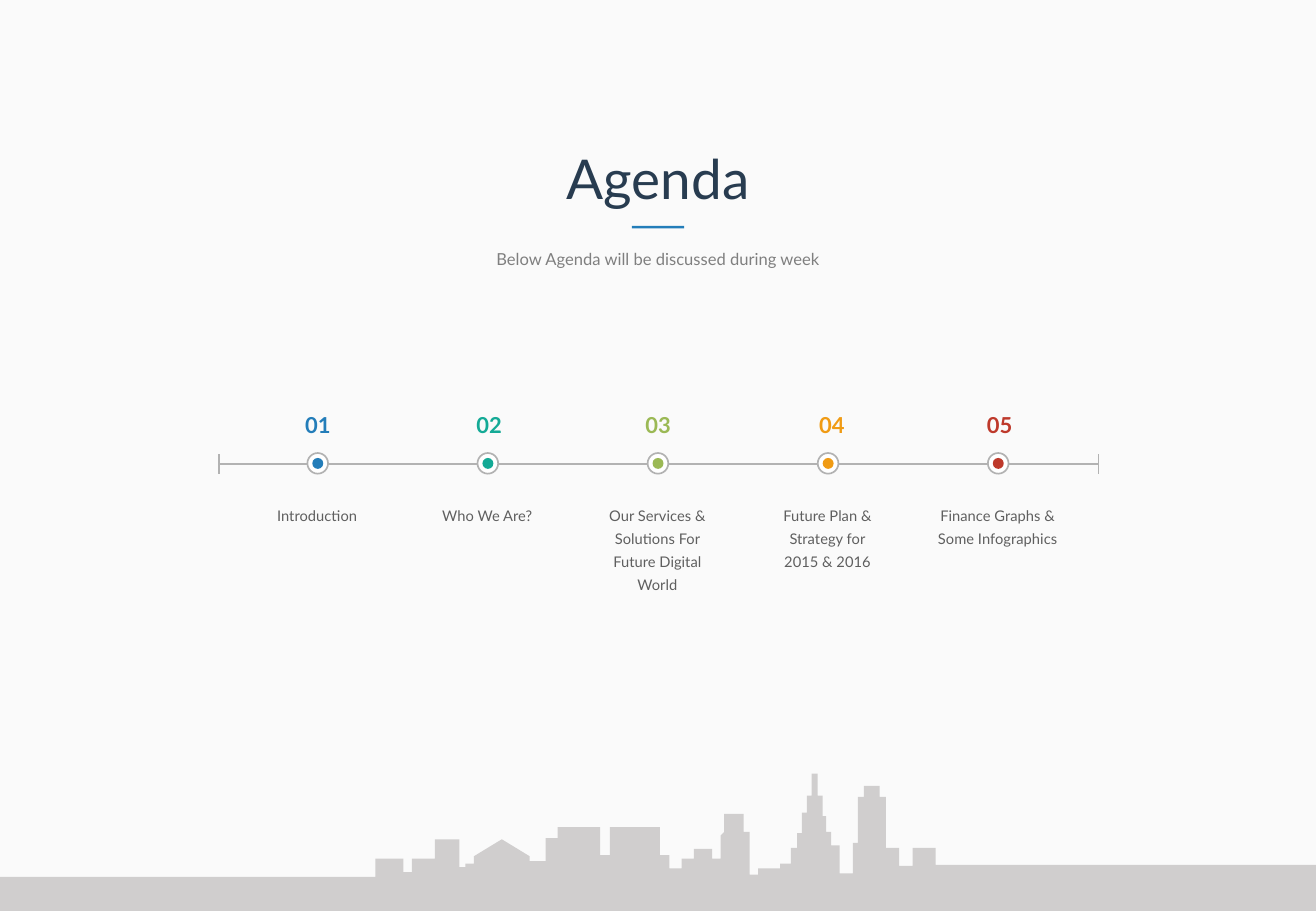
"""Build the Agenda slide: a five-stop timeline above a city skyline."""
from lxml import etree
from pptx import Presentation
from pptx.dml.color import RGBColor
from pptx.enum.shapes import MSO_CONNECTOR, MSO_SHAPE
from pptx.enum.text import MSO_ANCHOR, MSO_AUTO_SIZE, PP_ALIGN
from pptx.oxml.ns import qn
from pptx.util import Emu, Pt

RECT, OVAL = MSO_SHAPE.RECTANGLE, MSO_SHAPE.OVAL
STRAIGHT = MSO_CONNECTOR.STRAIGHT
CENTER, TOP, NO_FIT = PP_ALIGN.CENTER, MSO_ANCHOR.TOP, MSO_AUTO_SIZE.NONE

PX = 9144
WIDTH, HEIGHT = 1083, 750
FONT = "Lato"
COLORS = {
    "paper": "FAFAFA", "city": "D0CECE", "title": "283C50",
    "subtitle": "7F7F7F", "label": "5F5F5F", "axis": "B2B2B2",
    "white": "FFFFFF", "blue": "237DB9", "teal": "14AA96",
    "green": "9BB955", "orange": "F09B14", "red": "BE392B",
}

TITLE = "Agenda"
SUBTITLE = "Below Agenda will be discussed during week"
# number, number offset, colour, label paragraphs
STOPS = [
    ("01", 0, "blue", ["Introduction"]),
    ("02", 1, "teal", ["Who We Are?"]),
    ("03", 0, "green", ["Our Services & Solutions For Future Digital World"]),
    ("04", 3, "orange", ["Future Plan & Strategy for", "2015 & 2016"]),
    ("05", 1, "red", ["Finance Graphs & Some Infographics"]),
]
SKYLINE_START = (0, 722)
SKYLINE = [
    (309, 707), (332, 718), (339, 707), (358, 691), (378, 714), (383, 711),
    (390, 705), (413, 691), (436, 705), (436, 709), (449, 690), (459, 681),
    (494, 704), (502, 681), (543, 704), (551, 715), (561, 707), (571, 699),
    (586, 707), (593, 688), (596, 685), (596, 670), (612, 685), (617, 720),
    (624, 715), (642, 711), (651, 698), (656, 686), (660, 669), (664, 655),
    (668, 637), (673, 655), (677, 672), (680, 685), (684, 696), (691, 719),
    (702, 694), (706, 656), (711, 647), (724, 656), (729, 698), (740, 713),
    (751, 698), (770, 712),
]
SLOPES = {(413, 691), (436, 705), (596, 685)}

AXIS_LEFT, AXIS_RIGHT, AXIS_Y, TICK = 180, 904, 382, 8
FIRST_STOP, STOP_GAP = 253, 140
RING, DOT, RING_TOP = 17, 9, 373
NUMBER_W, LABEL_W = 25, 108


def rgb(name):
    return RGBColor.from_string(COLORS[name])


def box(*lengths):
    return [Emu(n * PX) for n in lengths]


def paint(sp, fill, line=None):
    sp.shadow.inherit = False
    sp.fill.solid()
    sp.fill.fore_color.rgb = rgb(fill)
    if line:
        sp.line.color.rgb = rgb(line)
        sp.line.width = Pt(1)
    else:
        sp.line.fill.background()


def add_shape(s, kind, at, fill, line=None):
    paint(s.shapes.add_shape(kind, *box(*at)), fill, line)


def add_line(s, ends, width):
    c = s.shapes.add_connector(STRAIGHT, *box(*ends))
    c.line.color.rgb = rgb("axis")
    c.line.width = Pt(width)
    etree.SubElement(c._element.spPr, qn("a:effectLst"))


def set_text(sp, lines, size, color, bold=False, spacing=1.0):
    tf = sp.text_frame
    frame = {"word_wrap": True, "auto_size": NO_FIT, "vertical_anchor": TOP,
             "margin_left": 0, "margin_right": 0,
             "margin_top": 0, "margin_bottom": 0}
    for name, value in frame.items():
        setattr(tf, name, value)
    for i, line in enumerate(lines):
        p = tf.add_paragraph() if i else tf.paragraphs[0]
        p.alignment, p.line_spacing = CENTER, spacing
        r = p.add_run()
        r.text = line
        font = {"name": FONT, "size": Pt(size), "bold": bold}
        for name, value in font.items():
            setattr(r.font, name, value)
        r.font.color.rgb = rgb(color)


def add_text(s, at, *args, **kwargs):
    set_text(s.shapes.add_textbox(*box(*at)), *args, **kwargs)


def add_skyline(s):
    points, y = [], SKYLINE_START[1]
    for x, top in SKYLINE:
        if (x, top) not in SLOPES:
            points.append((x, y))
        points.append((x, top))
        y = top
    points += [(WIDTH, y), (WIDTH, HEIGHT), (0, HEIGHT)]
    fb = s.shapes.build_freeform(*SKYLINE_START, scale=PX)
    fb.add_line_segments(points, close=True)
    paint(fb.convert_to_shape(), "city")


def add_header(s):
    title = s.shapes.title
    title.left, title.top, title.width, title.height = box(81, 119, 921, 55)
    set_text(title, [TITLE], 32.5, "title")
    add_shape(s, RECT, (520, 186, 43, 2), "blue")
    add_text(s, (81, 205, 921, 16), [SUBTITLE], 9.8, "subtitle")


def add_timeline(s):
    add_line(s, (AXIS_LEFT, AXIS_Y, AXIS_RIGHT, AXIS_Y), 1.5)
    for x in (AXIS_LEFT, AXIS_RIGHT):
        add_line(s, (x, AXIS_Y - TICK, x, AXIS_Y + TICK), 1)
    inset = (RING - DOT) // 2
    for i, (number, offset, color, label) in enumerate(STOPS):
        x = FIRST_STOP + i * STOP_GAP
        add_shape(s, OVAL, (x, RING_TOP, RING, RING), "white", "axis")
        add_shape(s, OVAL, (x + inset, RING_TOP + inset, DOT, DOT), color)
        number_x = x + (RING - NUMBER_W) // 2 + offset
        add_text(s, (number_x, 339, NUMBER_W, 22), [number], 13, color, bold=True)
        label_x = x + (RING - LABEL_W) // 2
        add_text(s, (label_x, 413, LABEL_W, 57), label, 8.7, "label", spacing=1.3)


def main():
    prs = Presentation()
    prs.slide_width, prs.slide_height = box(WIDTH, HEIGHT)
    s = prs.slides.add_slide(prs.slide_layouts[5])
    s.background.fill.solid()
    s.background.fill.fore_color.rgb = rgb("paper")
    add_skyline(s)
    add_header(s)
    add_timeline(s)
    prs.save("out.pptx")


if __name__ == "__main__":
    main()
